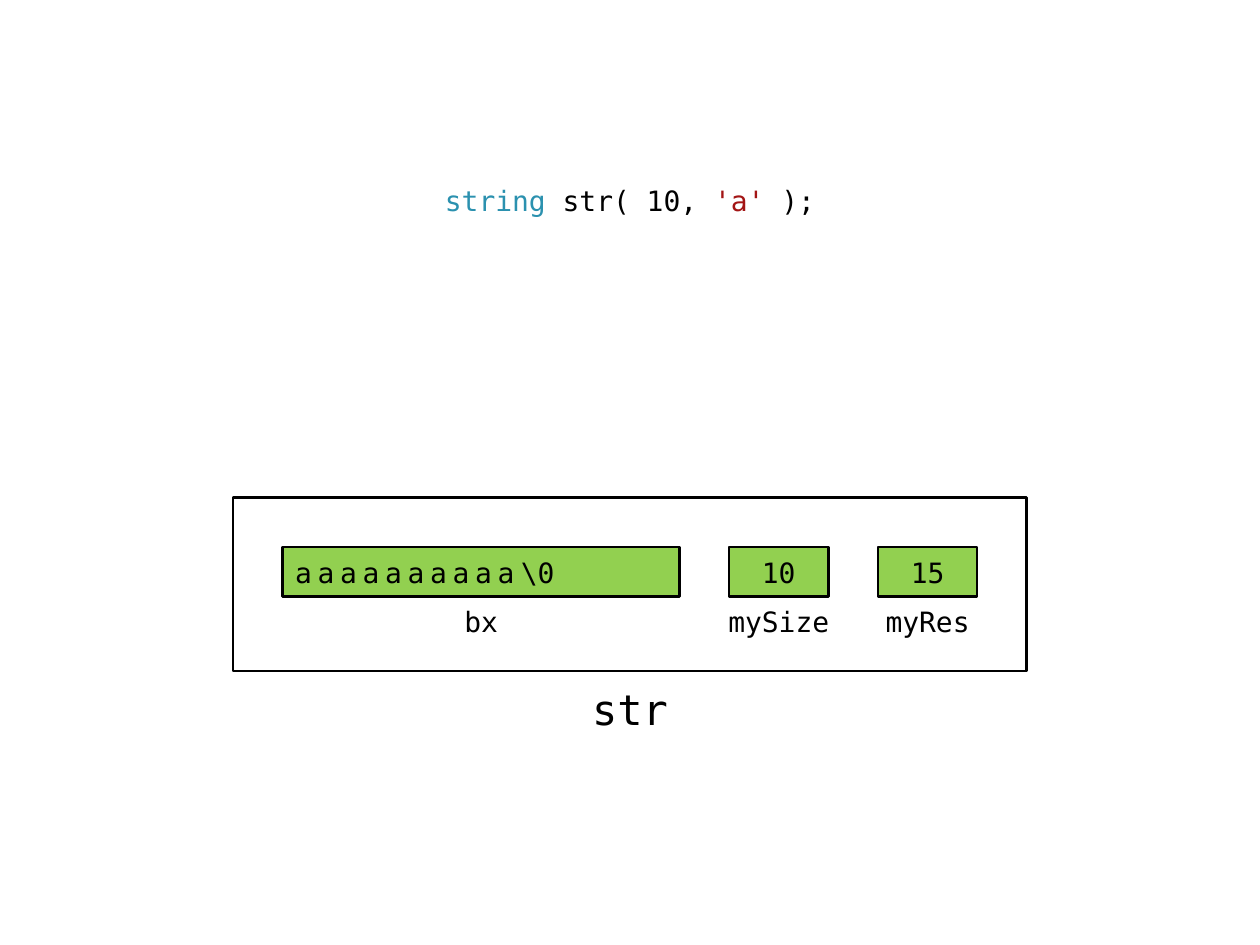
from pptx import Presentation
from pptx.dml.color import RGBColor
from pptx.enum.shapes import MSO_SHAPE
from pptx.enum.text import MSO_ANCHOR, PP_ALIGN
from pptx.util import Cm, Pt

RECTANGLE = MSO_SHAPE.RECTANGLE
PROCESS = MSO_SHAPE.FLOWCHART_PROCESS
MIDDLE = MSO_ANCHOR.MIDDLE
LEFT, CENTER = PP_ALIGN.LEFT, PP_ALIGN.CENTER

BLACK = RGBColor(0x00, 0x00, 0x00)
WHITE = RGBColor(0xFF, 0xFF, 0xFF)
GREEN = RGBColor(0x92, 0xD0, 0x50)
TYPE_BLUE = RGBColor(0x2B, 0x91, 0xAF)
LITERAL_RED = RGBColor(0xA3, 0x15, 0x15)

FONT = "DejaVu Sans Mono"
FRAME_FORMAT = {
    "margin_left": Cm(0.25), "margin_right": Cm(0.25),
    "margin_top": Cm(0.13), "margin_bottom": Cm(0.13),
    "vertical_anchor": MIDDLE, "word_wrap": False,
}


def write_text(shape, runs, size=16, alignment=CENTER):
    """Write runs of (text, colour, spacing in hundredths of a point)."""
    for name, value in FRAME_FORMAT.items():
        setattr(shape.text_frame, name, value)
    paragraph = shape.text_frame.paragraphs[0]
    paragraph.alignment = alignment
    for text, colour, spacing in runs:
        run = paragraph.add_run()
        run.text = text
        for name, value in {"name": FONT, "size": Pt(size)}.items():
            setattr(run.font, name, value)
        run.font.color.rgb = colour
        if spacing:
            run._r.get_or_add_rPr().set("spc", str(spacing))


def add_block(slide, kind, box, fill=None):
    """Add a block at a box in centimetres, outlined only when filled."""
    shape = slide.shapes.add_shape(kind, *map(Cm, box))
    shape.shadow.inherit = False
    if fill is None:
        shape.fill.background()
        shape.line.fill.background()
    else:
        shape.fill.solid()
        shape.fill.fore_color.rgb = fill
        shape.line.color.rgb = BLACK
        shape.line.width = Pt(1.5)
    return shape


def add_text_box(slide, box, runs, size=16):
    """Add a centred text box at a box in centimetres."""
    write_text(slide.shapes.add_textbox(*map(Cm, box)), runs, size)


def add_declaration(slide, box):
    """Add the coloured line of code that declares the string."""
    add_text_box(slide, box, [
        ("string ", TYPE_BLUE, 0), ("str( 10, ", BLACK, 0),
        ("'a' ", LITERAL_RED, 0), (");", BLACK, 0),
    ])


def add_member(slide, box, label, label_width, runs, alignment):
    """Add a member's value cell with its name centred below it."""
    left, top, width, height = box
    cell = add_block(slide, RECTANGLE, box, GREEN)
    write_text(cell, runs, alignment=alignment)
    label_left = left + (width - label_width) / 2
    name = add_block(slide, PROCESS, (label_left, top + height, label_width, height))
    write_text(name, [(label, BLACK, 0)])


def add_string_object(slide, box):
    """Add the string object's frame, its members in a row and its name."""
    left, top, width, height = box
    add_block(slide, PROCESS, box, WHITE)
    buffer_runs = [("a" * 10, BLACK, 330), ("\\", BLACK, -150), ("0", BLACK, 0)]
    members = [
        ("bx", 8, 2, buffer_runs, LEFT),
        ("mySize", 2, 3, [("10", BLACK, 0)], CENTER),
        ("myRes", 2, 3, [("15", BLACK, 0)], CENTER),
    ]
    gap = 1
    member_left = left + gap
    for label, member_width, label_width, runs, alignment in members:
        cell_box = (member_left, top + gap, member_width, 1)
        add_member(slide, cell_box, label, label_width, runs, alignment)
        member_left += member_width + gap
    name_width = 3
    name_box = (left + (width - name_width) / 2, top + height, name_width, 1.5)
    add_text_box(slide, name_box, [("str", BLACK, 0)], 24)


def main():
    """Build and save the slide."""
    presentation = Presentation()
    presentation.slide_width = Cm(25.4)
    presentation.slide_height = Cm(19.05)
    slide = presentation.slides.add_slide(presentation.slide_layouts[6])
    add_declaration(slide, (8.7, 3.53, 8, 1))
    add_string_object(slide, (4.7, 10.03, 16, 3.5))
    presentation.save("out.pptx")


if __name__ == "__main__":
    main()
